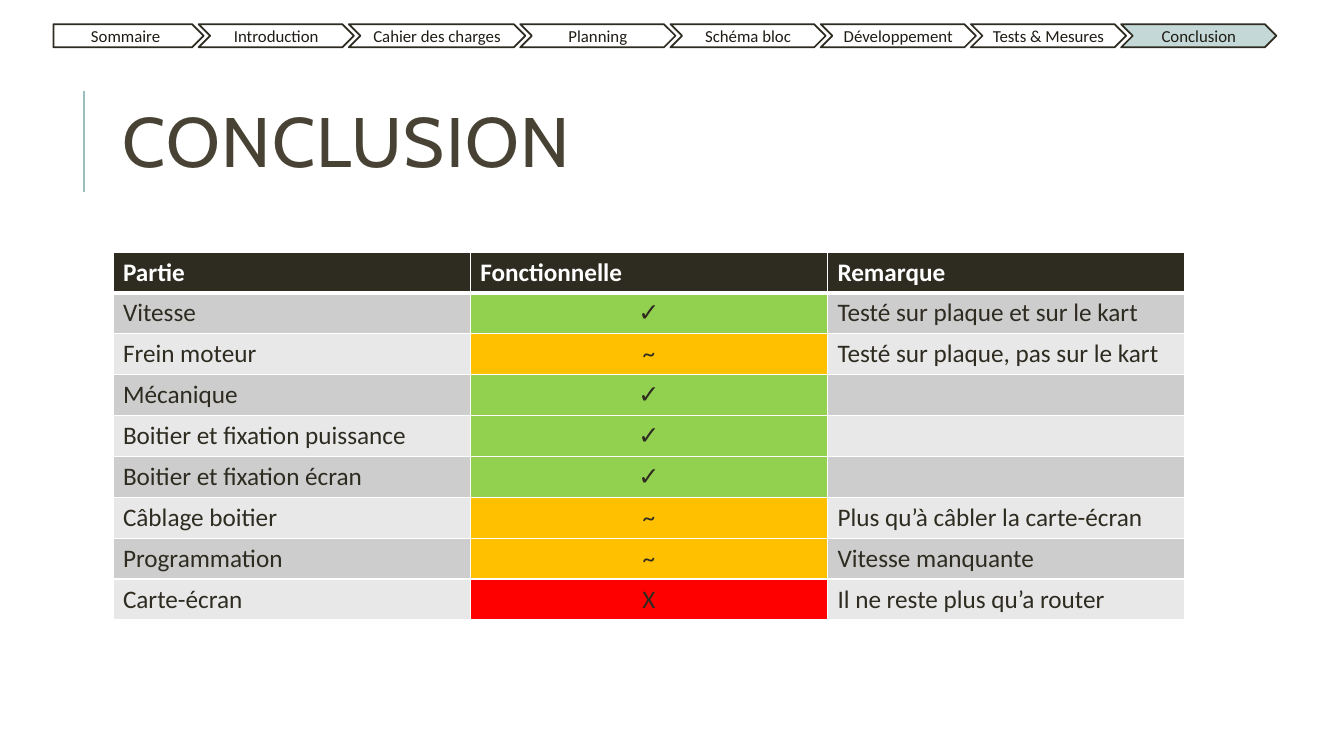
from lxml.etree import SubElement
from pptx import Presentation
from pptx.dml.color import RGBColor
from pptx.enum.shapes import MSO_CONNECTOR, MSO_SHAPE
from pptx.enum.text import MSO_ANCHOR, PP_ALIGN
from pptx.oxml.ns import qn
from pptx.util import Inches, Pt

WHITE = RGBColor(0xFF, 0xFF, 0xFF)
DARK = RGBColor(0x2E, 0x2B, 0x21)
NAV_TEXT = RGBColor(0x1E, 0x1C, 0x15)
TITLE_BROWN = RGBColor(0x47, 0x42, 0x33)
TEAL = RGBColor(0x9C, 0xBE, 0xBD)
PALE_TEAL = RGBColor(0xC4, 0xD8, 0xD7)
BANDS = (RGBColor(0xCD, 0xCD, 0xCD), RGBColor(0xE8, 0xE8, 0xE8))
STATUS_FILLS = {
    "✓": RGBColor(0x92, 0xD0, 0x50),
    "~": RGBColor(0xFF, 0xC0, 0x00),
    "X": RGBColor(0xFF, 0x00, 0x00),
}

TITLE_FORMAT = {"name": "Cabin", "size": Pt(50)}
NAV_FORMAT = {"name": "Calibri", "size": Pt(12)}
CELL_FORMAT = {"name": "Calibri", "size": Pt(18), "bold": False}
HEADER_FORMAT = {**CELL_FORMAT, "bold": True}

NAV_STEPS = [
    ("Sommaire", 1.49), ("Introduction", 1.54), ("Cahier des charges", 1.75),
    ("Planning", 1.54), ("Schéma bloc", 1.54), ("Développement", 1.54),
    ("Tests & Mesures", 1.54), ("Conclusion", 1.54),
]
NAV_OVERLAP = 0.05

RESULTS = [
    ("Partie", "Fonctionnelle", "Remarque"),
    ("Vitesse", "✓", "Testé sur plaque et sur le kart"),
    ("Frein moteur", "~", "Testé sur plaque, pas sur le kart"),
    ("Mécanique", "✓", ""),
    ("Boitier et fixation puissance", "✓", ""),
    ("Boitier et fixation écran", "✓", ""),
    ("Câblage boitier", "~", "Plus qu’à câbler la carte-écran"),
    ("Programmation", "~", "Vitesse manquante"),
    ("Carte-écran", "X", "Il ne reste plus qu’a router"),
]


class SlideBuilder:
    def __init__(self, page):
        self.page = page

    def add_text(self, frame, text, style, color, align=PP_ALIGN.LEFT):
        para = frame.paragraphs[0]
        para.alignment = align
        span = para.add_run()
        span.text = text
        for key, value in style.items():
            setattr(span.font, key, value)
        span.font.color.rgb = color
        return span

    def line(self, x, top, bottom, color, width):
        rule = self.page.shapes.add_connector(
            MSO_CONNECTOR.STRAIGHT, Inches(x), Inches(bottom), Inches(x), Inches(top))
        rule.line.color.rgb = color
        rule.line.width = Pt(width)
        SubElement(rule._element.spPr, qn("a:effectLst"))

    def title(self, text, left, top, width, height):
        box = self.page.shapes.add_textbox(
            Inches(left), Inches(top), Inches(width), Inches(height))
        frame = box.text_frame
        frame.word_wrap = True
        frame.vertical_anchor = MSO_ANCHOR.MIDDLE
        frame.paragraphs[0].line_spacing = 0.8
        span = self.add_text(frame, text, TITLE_FORMAT, TITLE_BROWN)
        span._r.get_or_add_rPr().set("spc", "100")

    def nav_step(self, kind, text, left, width, fill):
        step = self.page.shapes.add_shape(
            kind, Inches(left), Inches(0.24), Inches(width), Inches(0.23))
        step.shadow.inherit = False
        step.fill.solid()
        step.fill.fore_color.rgb = fill
        step.line.color.rgb = DARK
        step.line.width = Pt(1.25)
        frame = step.text_frame
        frame.vertical_anchor = MSO_ANCHOR.MIDDLE
        for side in ("left", "top", "right", "bottom"):
            setattr(frame, f"margin_{side}", 0)
        self.add_text(frame, text, NAV_FORMAT, NAV_TEXT, PP_ALIGN.CENTER)

    def borders(self, cell, widths):
        properties = cell._tc.get_or_add_tcPr()
        for index, (side, width) in enumerate(widths.items()):
            edge = properties.makeelement(qn(f"a:{side}"), {"w": str(Pt(width))})
            fill = SubElement(edge, qn("a:solidFill"))
            SubElement(fill, qn("a:srgbClr"), val=str(WHITE))
            properties.insert(index, edge)

    def table(self, rows, left, top, width, height):
        grid = self.page.shapes.add_table(
            len(rows), len(rows[0]), Inches(left), Inches(top),
            Inches(width), Inches(height)).table
        for row, texts in enumerate(rows):
            for column, text in enumerate(texts):
                cell = grid.cell(row, column)
                header = row == 0
                status = column == 1 and not header
                band = DARK if header else BANDS[(row - 1) % 2]
                cell.fill.solid()
                cell.fill.fore_color.rgb = STATUS_FILLS[text] if status else band
                self.borders(cell, {"lnL": 1, "lnR": 1, "lnT": 3 if row == 1 else 1,
                                    "lnB": 3 if header else 1})
                if text:
                    self.add_text(cell.text_frame, text,
                                  HEADER_FORMAT if header else CELL_FORMAT,
                                  WHITE if header else DARK,
                                  PP_ALIGN.CENTER if status else PP_ALIGN.LEFT)


def main():
    deck = Presentation()
    deck.slide_width, deck.slide_height = Inches(13.33), Inches(7.5)
    builder = SlideBuilder(deck.slides.add_slide(deck.slide_layouts[6]))

    # Title with its accent rule
    builder.line(0.83, 0.9, 1.9, TEAL, 1.5)
    builder.title("CONCLUSION", 1.12, 0.64, 10.63, 1.64)

    # Results by part of the project
    builder.table(RESULTS, 1.12, 2.5, 10.63, 3.65)

    # Navigation bar, current section highlighted
    left = 0.53
    for index, (text, width) in enumerate(NAV_STEPS):
        kind = MSO_SHAPE.CHEVRON if index else MSO_SHAPE.PENTAGON
        fill = PALE_TEAL if text == "Conclusion" else WHITE
        builder.nav_step(kind, text, left, width, fill)
        left += width - NAV_OVERLAP

    deck.save("out.pptx")


if __name__ == "__main__":
    main()
